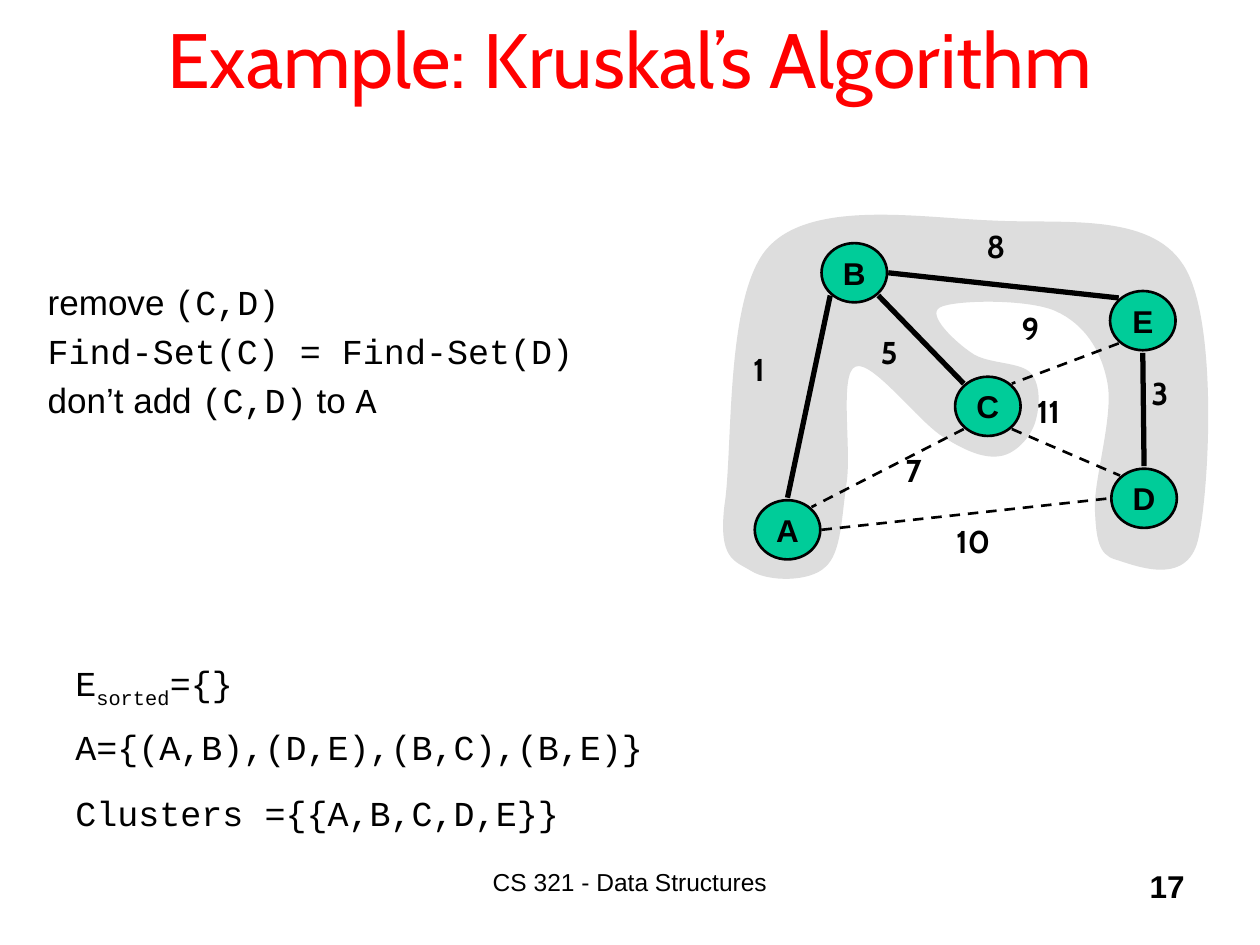
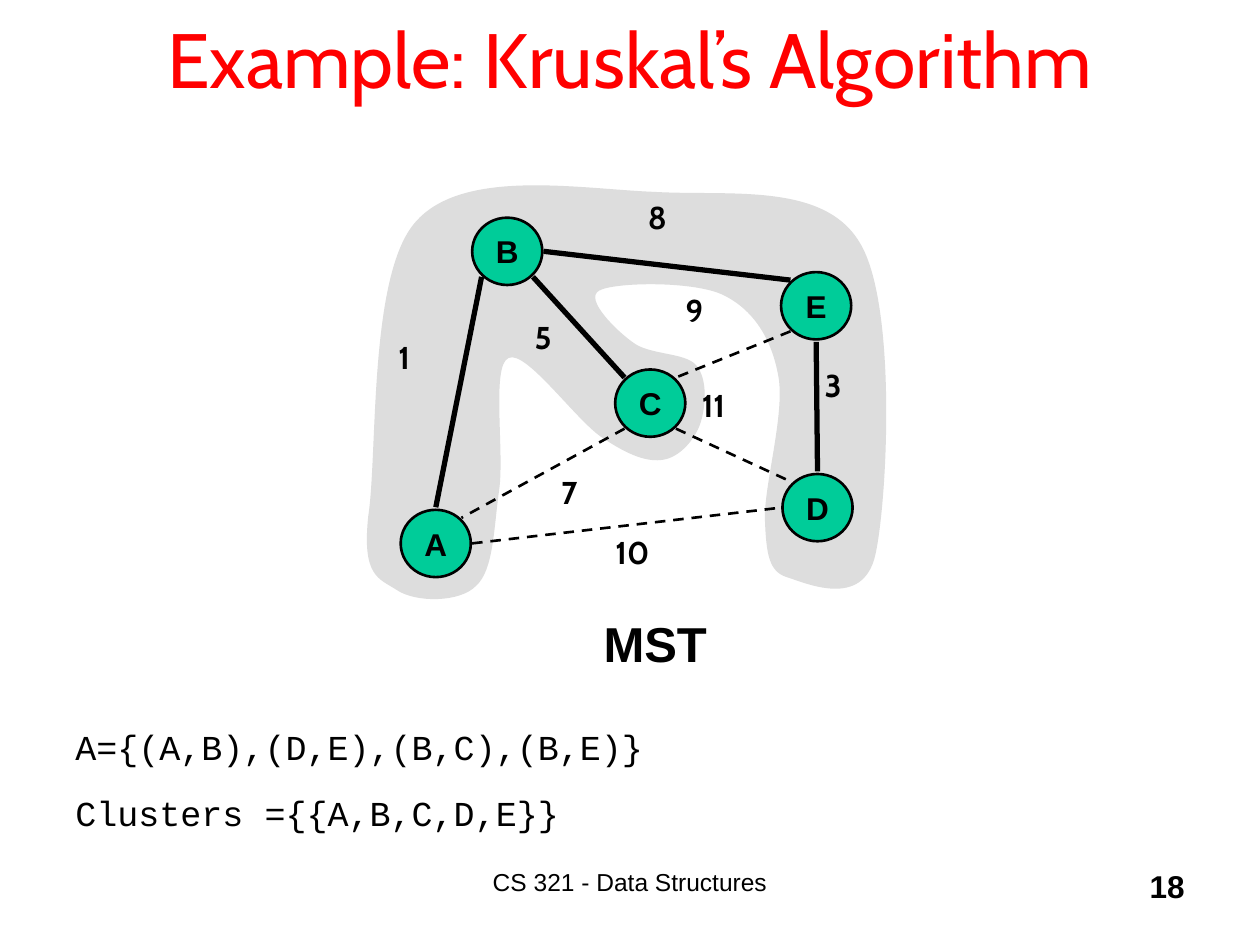
"""Build two slides that end a worked example of Kruskal's algorithm."""
from dataclasses import dataclass
from math import cos, radians, sin

from lxml import etree
from pptx import Presentation
from pptx import util as u
from pptx.dml.color import RGBColor
from pptx.enum import dml, shapes, text
from pptx.oxml.ns import qn


@dataclass(frozen=True)
class Theme:
    title: str = "FF0000"
    ink: str = "000000"
    node: str = "00CC99"
    cluster: str = "DDDDDD"
    display: str = "Cabin"
    sans: str = "Arial"
    mono: str = "Courier New"
    title_size: int = 44
    heading_size: int = 28
    body_size: int = 20
    label_size: int = 18
    footer_size: int = 14


THEME = Theme()
SANS, MONO = THEME.sans, THEME.mono

TITLE = "Example: Kruskal’s Algorithm"
FOOTER = "CS 321 - Data Structures"

STEPS = [
    [("remove ", SANS), ("(C,D)", MONO)],
    [("Find-Set(C) = Find-Set(D)", MONO)],
    [("don’t add ", SANS), ("(C,D)", MONO), (" to ", SANS), ("A", MONO)],
]
SORTED_EDGES = ("E", "sorted", "={}")
RESULTS = [("A={(A,B),(D,E),(B,C),(B,E)}", 5.71), ("Clusters ={{A,B,C,D,E}}", 6.23)]

GRAPH_AREA = (5.7, 1.58, 3.97, 3.08)
TREE_AREA = (2.87, 1.33, 4.25, 3.5)
NODE_SIZE = (0.52, 0.47)
EDGE_GAP = (0.01, 0.02)
NODES = {"A": (5.99, 3.97), "B": (6.52, 1.93), "C": (7.58, 2.99),
         "D": (8.82, 3.72), "E": (8.81, 2.31)}
SITES = {"e": 0, "se": 45, "s": 90, "sw": 135, "w": 180, "nw": 225, "n": 270, "ne": 315}
EDGES = [
    ("B", "sw", "A", "n", 1, True, (5.88, 2.73)),
    ("E", "s", "D", "n", 3, True, (9.04, 2.92)),
    ("B", "se", "C", "nw", 5, True, (6.89, 2.59)),
    ("C", "sw", "A", "ne", 7, False, (7.09, 3.53)),
    ("B", "e", "E", "nw", 8, True, (7.73, 1.75)),
    ("E", "sw", "C", "ne", 9, False, (8.01, 2.4)),
    ("A", "e", "D", "w", 10, False, (7.49, 4.09)),
    ("C", "se", "D", "nw", 11, False, (8.13, 3.06)),
]
CLUSTER_START = (5.75, 4.01)
CLUSTER_CURVES = [
    ((5.7, 4.44), (5.83, 4.45), (5.96, 4.53)),
    ((6.1, 4.62), (6.43, 4.62), (6.55, 4.5)),
    ((6.68, 4.39), (6.68, 4.09), (6.72, 3.83)),
    ((6.76, 3.56), (6.66, 2.96), (6.79, 2.91)),
    ((6.92, 2.85), (7.3, 3.36), (7.49, 3.47)),
    ((7.68, 3.59), (7.82, 3.64), (7.94, 3.62)),
    ((8.06, 3.6), (8.17, 3.48), (8.21, 3.37)),
    ((8.25, 3.26), (8.27, 3.06), (8.18, 2.96)),
    ((8.1, 2.87), (7.83, 2.89), (7.71, 2.8)),
    ((7.59, 2.72), (7.35, 2.5), (7.46, 2.44)),
    ((7.57, 2.38), (8.16, 2.37), (8.38, 2.47)),
    ((8.6, 2.57), (8.74, 2.77), (8.79, 3.04)),
    ((8.84, 3.3), (8.68, 3.81), (8.69, 4.04)),
    ((8.7, 4.28), (8.72, 4.4), (8.85, 4.44)),
    ((8.99, 4.48), (9.42, 4.67), (9.51, 4.28)),
    ((9.6, 3.89), (9.67, 2.52), (9.39, 2.1)),
    ((9.12, 1.68), (8.42, 1.78), (7.87, 1.75)),
    ((7.32, 1.73), (6.45, 1.58), (6.1, 1.96)),
    ((5.75, 2.33), (5.82, 3.58), (5.75, 4.01)),
]


@dataclass(frozen=True)
class GraphFrame:
    left: float
    top: float
    width: float
    height: float

    def size(self, width, height):
        return width * self.width / GRAPH_AREA[2], height * self.height / GRAPH_AREA[3]

    def place(self, x, y):
        across, down = self.size(x - GRAPH_AREA[0], y - GRAPH_AREA[1])
        return self.left + across, self.top + down


def inches(*lengths):
    return [u.Inches(length) for length in lengths]


def set_font(font, face, size, color=THEME.ink, bold=False):
    font.name, font.size, font.bold = face, u.Pt(size), bold
    font.color.rgb = RGBColor.from_string(color)


def add_lines(slide, box, lines, size, bold=False, align=text.PP_ALIGN.LEFT, before=0):
    frame = slide.shapes.add_textbox(*inches(*box)).text_frame
    frame.word_wrap = True
    for index, pieces in enumerate(lines):
        line = frame.add_paragraph() if index else frame.paragraphs[0]
        line.alignment, line.space_before = align, u.Pt(before)
        set_font(line.font, pieces[0][1], size, bold=bold)
        for words, face in pieces:
            run = line.add_run()
            run.text = words
            if face != pieces[0][1]:
                run.font.name = face
    return frame


def add_body(slide, box, lines):
    return add_lines(slide, box, lines, THEME.body_size, before=THEME.body_size * 0.2)


def paint(shape, color):
    shape.shadow.inherit = False
    shape.fill.solid()
    shape.fill.fore_color.rgb = RGBColor.from_string(color)


def draw_line(line, width):
    line.color.rgb = RGBColor.from_string(THEME.ink)
    line.width = u.Pt(width)


def add_cluster(slide, frame):
    builder = slide.shapes.build_freeform(*inches(*frame.place(*CLUSTER_START)))
    builder.add_line_segments([inches(*frame.place(*point))
                               for curve in CLUSTER_CURVES for point in curve])
    cluster = builder.convert_to_shape()
    segments = list(cluster._element.iter(qn("a:lnTo")))
    for first, second, end in zip(*[iter(segments)] * 3):
        curve = etree.Element(qn("a:cubicBezTo"))
        first.addprevious(curve)
        for segment in (first, second, end):
            curve.append(segment[0])
            segment.getparent().remove(segment)
    paint(cluster, THEME.cluster)
    cluster.line.fill.background()


def add_node(slide, frame, letter):
    box = (*frame.place(*NODES[letter]), *frame.size(*NODE_SIZE))
    node = slide.shapes.add_shape(shapes.MSO_SHAPE.OVAL, *inches(*box))
    paint(node, THEME.node)
    draw_line(node.line, 1.5)
    node.text_frame.word_wrap = False
    node.text_frame.vertical_anchor = text.MSO_ANCHOR.MIDDLE
    caption = node.text_frame.paragraphs[0]
    caption.text, caption.alignment = letter, text.PP_ALIGN.CENTER
    set_font(caption.font, SANS, THEME.label_size, bold=True)


def node_site(frame, letter, side):
    x, y = frame.place(*NODES[letter])
    width, height = frame.size(*NODE_SIZE)
    angle = radians(SITES[side])
    return (x + width / 2 + (width / 2 + EDGE_GAP[0]) * cos(angle),
            y + height / 2 + (height / 2 + EDGE_GAP[1]) * sin(angle))


def add_edge(slide, begin, end, in_tree):
    edge = slide.shapes.add_connector(shapes.MSO_CONNECTOR.STRAIGHT, *inches(*begin, *end))
    draw_line(edge.line, 3 if in_tree else 1.5)
    if not in_tree:
        edge.line.dash_style = dml.MSO_LINE.DASH
    etree.SubElement(edge._element.spPr, qn("a:effectLst"))


def add_graph(slide, frame, moved_labels):
    add_cluster(slide, frame)
    for letter in NODES:
        add_node(slide, frame, letter)
    for begin, leave, end, arrive, weight, in_tree, spot in EDGES:
        add_edge(slide, node_site(frame, begin, leave), node_site(frame, end, arrive), in_tree)
        label = str(weight)
        spot = frame.place(*moved_labels.get(weight, spot))
        box = (*spot, *frame.size(0.31 + 0.22 * len(label), 0.56))
        add_lines(slide, box, [[(label, THEME.display)]], THEME.label_size, bold=True)


def add_slide(deck, number, frame, moved_labels):
    slide = deck.slides.add_slide(deck.slide_layouts[5])
    title = slide.shapes.title
    title.left, title.top, title.width, title.height = inches(0.75, -0.17, 8.5, 1.25)
    title.text_frame.vertical_anchor = text.MSO_ANCHOR.MIDDLE
    heading = title.text_frame.paragraphs[0]
    heading.text, heading.alignment = TITLE, text.PP_ALIGN.CENTER
    set_font(heading.font, THEME.display, THEME.title_size, THEME.title)
    add_lines(slide, (3.08, 6.83, 3.84, 0.5), [[(FOOTER, SANS)]],
              THEME.footer_size, align=text.PP_ALIGN.CENTER)
    add_lines(slide, (7.42, 6.83, 2.08, 0.5), [[(str(number), SANS)]],
              THEME.label_size, bold=True, align=text.PP_ALIGN.RIGHT)
    for result, top in RESULTS:
        add_body(slide, (0.5, top, 6.03, 0.44), [[(result, MONO)]])
    add_graph(slide, frame, moved_labels)
    return slide


def main():
    deck = Presentation()
    deck.slide_width, deck.slide_height = inches(10, 7.5)

    last_edge = add_slide(deck, 17, GraphFrame(*GRAPH_AREA), {})
    add_body(last_edge, (0.28, 2.18, 5.38, 1.25), STEPS)
    pieces = [(piece, MONO) for piece in SORTED_EDGES]
    queue = add_body(last_edge, (0.5, 5.2, 5.84, 0.44), [pieces])
    queue.paragraphs[0].runs[1]._r.get_or_add_rPr().set("baseline", "-25000")

    tree = add_slide(deck, 18, GraphFrame(*TREE_AREA), {7: (7.09, 3.67)})
    add_lines(tree, (4.64, 4.82, 1.12, 0.57), [[("MST", SANS)]],
              THEME.heading_size, bold=True, align=text.PP_ALIGN.CENTER)

    deck.save("out.pptx")


if __name__ == "__main__":
    main()
